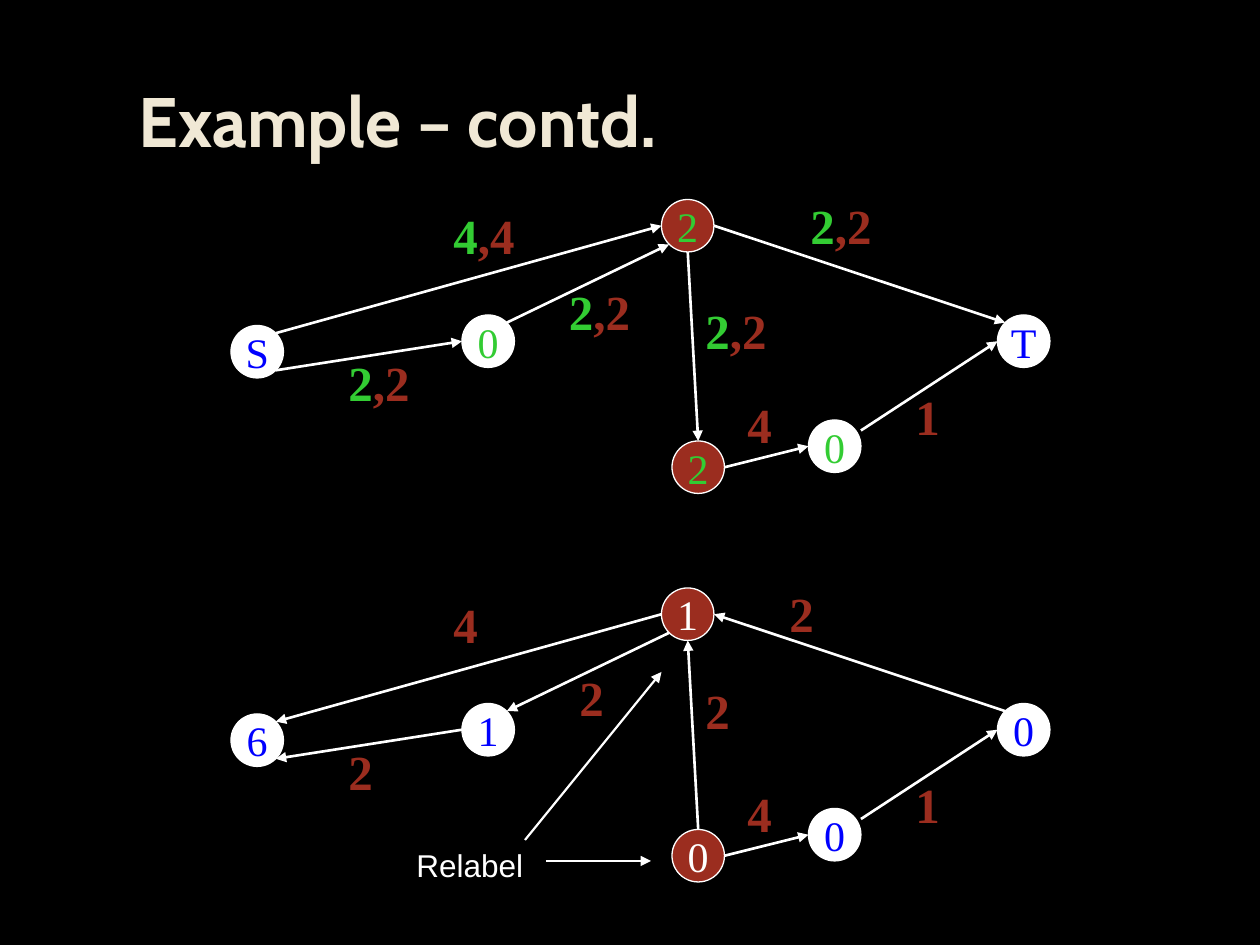
from math import sqrt

from lxml.etree import SubElement
from pptx import Presentation
from pptx.dml.color import RGBColor
from pptx.enum.shapes import MSO_CONNECTOR, MSO_SHAPE
from pptx.enum.text import MSO_ANCHOR, PP_ALIGN
from pptx.oxml.ns import qn
from pptx.util import Inches, Pt

THEME = {
    "black": RGBColor(0x00, 0x00, 0x00),
    "white": RGBColor(0xFF, 0xFF, 0xFF),
    "cream": RGBColor(0xF0, 0xE8, 0xD5),
    "red": RGBColor(0x9B, 0x2D, 0x1F),
    "green": RGBColor(0x33, 0xCC, 0x33),
    "blue": RGBColor(0x00, 0x00, 0xFF),
    "title": ("Cabin", 40, True),
    "node": ("Times New Roman", 24, False),
    "weight": ("Times New Roman", 28, True),
    "note": ("Arial", 18, False),
}

deck = Presentation()
deck.slide_width, deck.slide_height = Inches(10), Inches(7.5)
page = deck.slides.add_slide(deck.slide_layouts[6])
page.background.fill.solid()
page.background.fill.fore_color.rgb = THEME["black"]

# The page is a grid of 120 columns by 90 rows.
CELL = deck.slide_width / 120
NODE_SIZE = 5
GRAPH_STEP = 37


def write(shape, style, spans, align=PP_ALIGN.LEFT, wrap=True):
    """Fill a shape with one paragraph made of (text, colour name) spans."""
    frame = shape.text_frame
    frame.word_wrap = wrap
    para = frame.paragraphs[0]
    para.alignment = align
    if style == "weight":
        para.space_before = Pt(17.5)
    for text, colour in spans:
        span = para.add_run()
        span.text = text
        span.font.name, size, span.font.bold = THEME[style]
        span.font.size = Pt(size)
        span.font.color.rgb = THEME[colour]


def add_arrow(start, end, width, arrow_end="tailEnd"):
    """Draw a line between two grid points; headEnd puts the arrow at the start."""
    ends = [round(value * CELL) for value in (*start, *end)]
    arrow = page.shapes.add_connector(MSO_CONNECTOR.STRAIGHT, *ends)
    arrow.line.color.rgb = THEME["white"]
    arrow.line.width = Pt(width)
    SubElement(arrow.line._get_or_add_ln(), qn("a:" + arrow_end), type="triangle")
    SubElement(arrow._element.spPr, qn("a:effectLst"))


title = page.shapes.add_textbox(12 * CELL, 6.75 * CELL, 102 * CELL, 12 * CELL)
write(title, "title", [("Example – contd.", "cream")])

# Column and row of each node in a graph
nodes = {
    "source": (22, 31),
    "left": (44, 30),
    "top": (63, 19),
    "bottom": (64, 42),
    "right": (77, 40),
    "sink": (95, 30),
}

# Points on a node's rim, in radii from its centre
DIAGONAL = 1 / sqrt(2)
ports = {
    "N": (0, -1), "S": (0, 1), "W": (-1, 0), "E": (1, 0),
    "NE": (DIAGONAL, -DIAGONAL), "NW": (-DIAGONAL, -DIAGONAL),
    "SE": (DIAGONAL, DIAGONAL), "SW": (-DIAGONAL, DIAGONAL),
    "ENE": (1, -0.6),
}

# Start node and port, end node and port, whether the second graph reverses it
edges = [
    ("source", "NE", "top", "W", True),
    ("source", "SE", "left", "W", True),
    ("left", "NE", "top", "SW", True),
    ("top", "S", "bottom", "N", True),
    ("top", "E", "sink", "NW", True),
    ("bottom", "E", "right", "W", False),
    ("right", "ENE", "sink", "W", False),
]

# Node text and colour, then edge weights as column, row, flow, capacity
graphs = [
    (
        {"source": ("S", "blue"), "left": ("0", "green"), "top": ("2", "green"),
         "bottom": ("2", "green"), "right": ("0", "green"), "sink": ("T", "blue")},
        [(42, 19, "4", ",4"), (32, 33, "2", ",2"), (53, 26.2, "2", ",2"),
         (66, 28, "2", ",2"), (76, 18, "2", ",2"), (70, 37, "", "4"),
         (86, 36.2, "", "1")],
    ),
    (
        {"source": ("6", "blue"), "left": ("1", "blue"), "top": ("1", "white"),
         "bottom": ("0", "white"), "right": ("0", "blue"), "sink": ("0", "blue")},
        [(42, 19, "", "4"), (32, 33, "", "2"), (54, 26, "", "2"),
         (66, 27.2, "", "2"), (74, 18, "", "2"), (70, 37, "", "4"),
         (86, 36.2, "", "1")],
    ),
]

for index, (node_labels, weights) in enumerate(graphs):
    offset = index * GRAPH_STEP

    for start, start_port, end, end_port, reverses in edges:
        points = []
        for name, port in ((start, start_port), (end, end_port)):
            column, row = nodes[name]
            across, down = ports[port]
            points.append((column + NODE_SIZE / 2 * (1 + across),
                           row + offset + NODE_SIZE / 2 * (1 + down)))
        add_arrow(*points, 1.5, "headEnd" if index and reverses else "tailEnd")

    for name, label in node_labels.items():
        column, row = nodes[name]
        node = page.shapes.add_shape(
            MSO_SHAPE.OVAL, round(column * CELL), round((row + offset) * CELL),
            round(NODE_SIZE * CELL), round(NODE_SIZE * CELL))
        node.shadow.inherit = False
        node.fill.solid()
        node.fill.fore_color.rgb = THEME["red" if name in ("top", "bottom") else "white"]
        node.line.color.rgb = THEME["white"]
        node.line.width = Pt(0.75)
        node.text_frame.vertical_anchor = MSO_ANCHOR.MIDDLE
        write(node, "node", [label], PP_ALIGN.CENTER, wrap=False)

    for column, row, flow, capacity in weights:
        width = 9 if flow or (index and column == 42) else 5
        box = page.shapes.add_textbox(
            round(column * CELL), round((row + offset) * CELL),
            round(width * CELL), round(6.8 * CELL))
        spans = [(flow, "green"), (capacity, "red")]
        write(box, "weight", [span for span in spans if span[0]])

relabel = page.shapes.add_textbox(
    round(38.4 * CELL), 80 * CELL, round(12.6 * CELL), round(4.8 * CELL))
write(relabel, "note", [("Relabel", "white")], PP_ALIGN.RIGHT, wrap=False)
add_arrow((52, 82), (62, 82), 1.25)
add_arrow((50, 80), (63, 64), 1.25)

deck.save("out.pptx")
